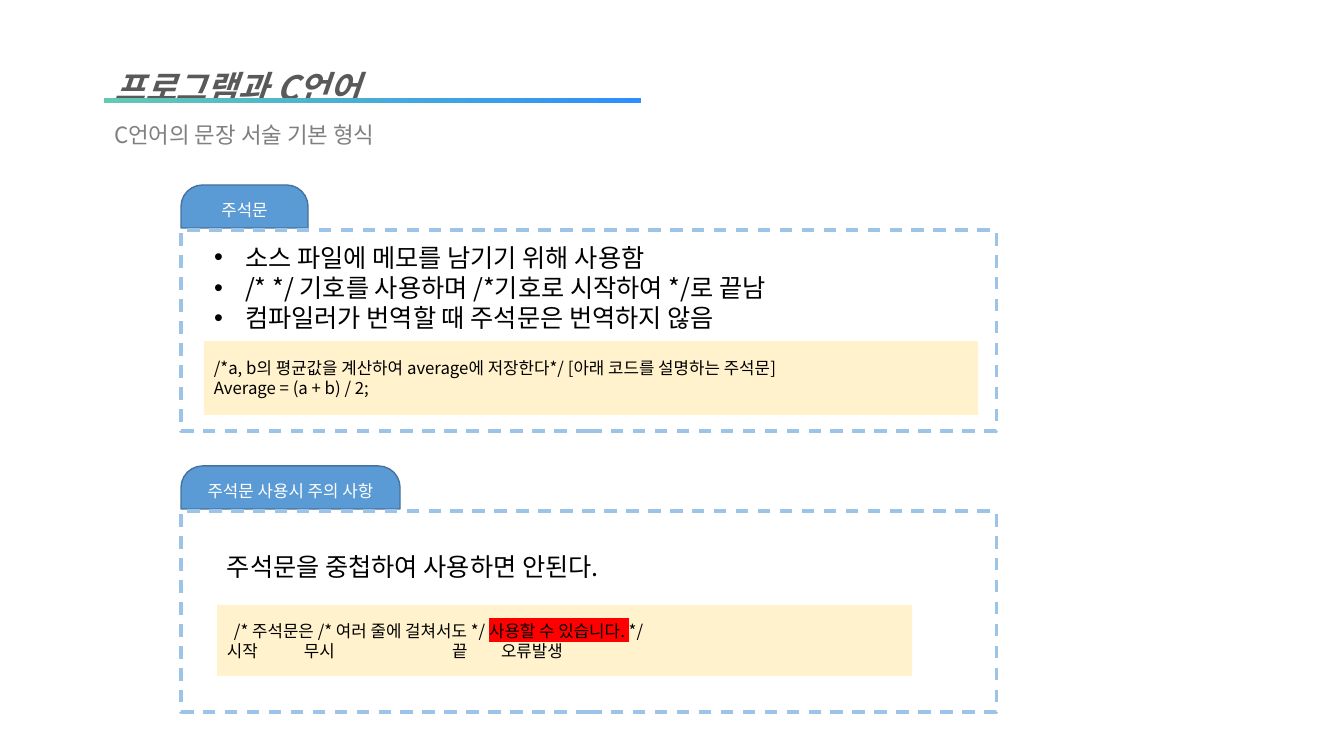
from lxml import etree
from pptx import Presentation, util as u
from pptx.dml.color import RGBColor
from pptx.enum import dml, shapes, text
from pptx.oxml.ns import qn

FONT = "Noto Sans CJK KR"
COLORS = {
    "title": "595959", "subtitle": "808080", "text": "000000", "white": "FFFFFF",
    "tag": "5B9BD5", "tag_line": "43739E", "frame": "9DC3E6", "code": "FFF2CC",
    "error": "FF0000", "rule_start": "63C9B3", "rule_end": "2C8FFC",
}

TITLE = "프로그램과 C언어"
SUBTITLE = "C언어의 문장 서술 기본 형식"
BULLETS = [
    "소스 파일에 메모를 남기기 위해 사용함",
    "/* */ 기호를 사용하며 /*기호로 시작하여 */로 끝남",
    "컴파일러가 번역할 때 주석문은 번역하지 않음",
]
WARNING = "주석문을 중첩하여 사용하면 안된다."
COMMENT_CODE = [
    "/*a, b의 평균값을 계산하여 average에 저장한다*/ [아래 코드를 설명하는 주석문]",
    "Average = (a + b) / 2;",
]
NESTED_CODE = [
    ("/* 주석문은 /* 여러 줄에 걸쳐서도 */ ", None),
    ("사용할 수 있습니다. ", "error"),
    ("*/", None),
]
NESTED_LABELS = ["시작", "무시", "끝", "오류발생"]
LABEL_TABS = [77, 225, 274]

# Cards: tag text, tag width, code box (left, top, width, height)
CARDS = [
    ("주석문", 127, (204, 341, 774, 74)),
    ("주석문 사용시 주의 사항", 219, (217, 605, 695, 71)),
]
CARD_LEFT, CARD_TOP, CARD_STEP = 181, 185, 281
TAG_HEIGHT, FRAME_OFFSET, FRAME_SIZE = 43, 45, (815, 201)


def px(n):
    """Turn pixels into EMU."""
    return u.Emu(round(n * 914400 / 100.8))


def rgb(name):
    """Look up a named colour."""
    return RGBColor.from_string(COLORS[name])


def place(sp, left, top, width, height):
    """Move and size a shape."""
    sp.left, sp.top, sp.width, sp.height = map(px, (left, top, width, height))


def add_text(p, words, size=12, color="text", bold=False, italic=False, highlight=None):
    """Add a formatted run to a paragraph."""
    r = p.add_run()
    r.text = words
    f = r.font
    f.size, f.bold, f.italic, f.name = u.Pt(size), bold, italic, FONT
    f.color.rgb = rgb(color)
    latin = r._r.rPr.find(qn("a:latin"))
    ea = etree.Element(qn("a:ea"), typeface=FONT)
    latin.addnext(ea)
    if highlight:
        mark = etree.Element(qn("a:highlight"))
        etree.SubElement(mark, qn("a:srgbClr"), val=COLORS[highlight])
        latin.addprevious(mark)


def paragraphs(tf, count, align=text.PP_ALIGN.LEFT, spacing=1.0):
    """Return a number of paragraphs with common spacing."""
    ps = [tf.paragraphs[0]] + [tf.add_paragraph() for _ in range(count - 1)]
    for p in ps:
        p.alignment, p.line_spacing = align, spacing
        p.space_before = p.space_after = u.Pt(0)
    return ps


def text_frame(sp, anchor=text.MSO_ANCHOR.TOP, fit=text.MSO_AUTO_SIZE.SHAPE_TO_FIT_TEXT):
    """Set wrapping, anchor and autofit of a shape's text."""
    tf = sp.text_frame
    tf.word_wrap, tf.vertical_anchor, tf.auto_size = True, anchor, fit
    return tf


def add_box(kind, box, fill=None, line=None, width=1):
    """Add a shape with a plain fill and line."""
    sp = s.shapes.add_shape(kind, *map(px, box))
    sp.shadow.inherit = False
    text_frame(sp, text.MSO_ANCHOR.MIDDLE, text.MSO_AUTO_SIZE.NONE)
    if fill:
        sp.fill.solid()
        sp.fill.fore_color.rgb = rgb(fill)
    else:
        sp.fill.background()
    if line:
        sp.line.color.rgb, sp.line.width = rgb(line), u.Pt(width)
    else:
        sp.line.fill.background()
    return sp


def add_card(top, label, tag_width, code_box):
    """Add a tag, its dashed frame and its code box; return the code text frame."""
    tag = add_box(shapes.MSO_SHAPE.ROUND_2_SAME_RECTANGLE,
                  (CARD_LEFT, top, tag_width, TAG_HEIGHT), "tag", "tag_line")
    tag.adjustments[0], tag.adjustments[1] = 0.5, 0
    p, = paragraphs(tag.text_frame, 1, text.PP_ALIGN.CENTER)
    add_text(p, label, color="white")
    frame = add_box(shapes.MSO_SHAPE.RECTANGLE,
                    (CARD_LEFT, top + FRAME_OFFSET, *FRAME_SIZE), line="frame", width=2.25)
    frame.line.dash_style = dml.MSO_LINE.DASH
    return add_box(shapes.MSO_SHAPE.RECTANGLE, code_box, "code").text_frame


prs = Presentation()
prs.slide_width, prs.slide_height = u.Inches(13.33), u.Inches(7.5)
s = prs.slides.add_slide(prs.slide_layouts[1])
title, body = s.placeholders

place(title, 104, 42, 665, 112)
heading, sub = paragraphs(text_frame(title), 2, spacing=1.5)
add_text(heading, TITLE, size=24, color="title", bold=True, italic=True)
add_text(sub, SUBTITLE, size=16, color="subtitle")

rule = add_box(shapes.MSO_SHAPE.RECTANGLE, (104, 98, 537, 5))
rule.fill.gradient()
rule.fill.gradient_angle = 0
for stop, name in zip(rule.fill.gradient_stops, ("rule_start", "rule_end")):
    stop.color.rgb = rgb(name)

comment_tf, nested_tf = [
    add_card(CARD_TOP + i * CARD_STEP, *card) for i, card in enumerate(CARDS)]

place(body, 204, 237, 793, 102)
for p, words in zip(paragraphs(text_frame(body), len(BULLETS)), BULLETS):
    add_text(p, words, size=18)
    pPr = p._p.get_or_add_pPr()
    pPr.set("marL", str(px(31)))
    pPr.set("indent", str(-px(31)))

for p, words in zip(paragraphs(comment_tf, len(COMMENT_CODE)), COMMENT_CODE):
    add_text(p, words)

warning = s.shapes.add_textbox(*map(px, (217, 546, 499, 40)))
p, = paragraphs(text_frame(warning), 1)
add_text(p, WARNING, size=18)

code, labels = paragraphs(nested_tf, 2)
code._p.get_or_add_pPr().set("indent", str(px(7)))
for words, mark in NESTED_CODE:
    add_text(code, words, highlight=mark)
tabs = etree.SubElement(labels._p.get_or_add_pPr(), qn("a:tabLst"))
for pos in LABEL_TABS:
    etree.SubElement(tabs, qn("a:tab"), pos=str(px(pos)), algn="l")
add_text(labels, "\t".join(NESTED_LABELS))

prs.save("out.pptx")
